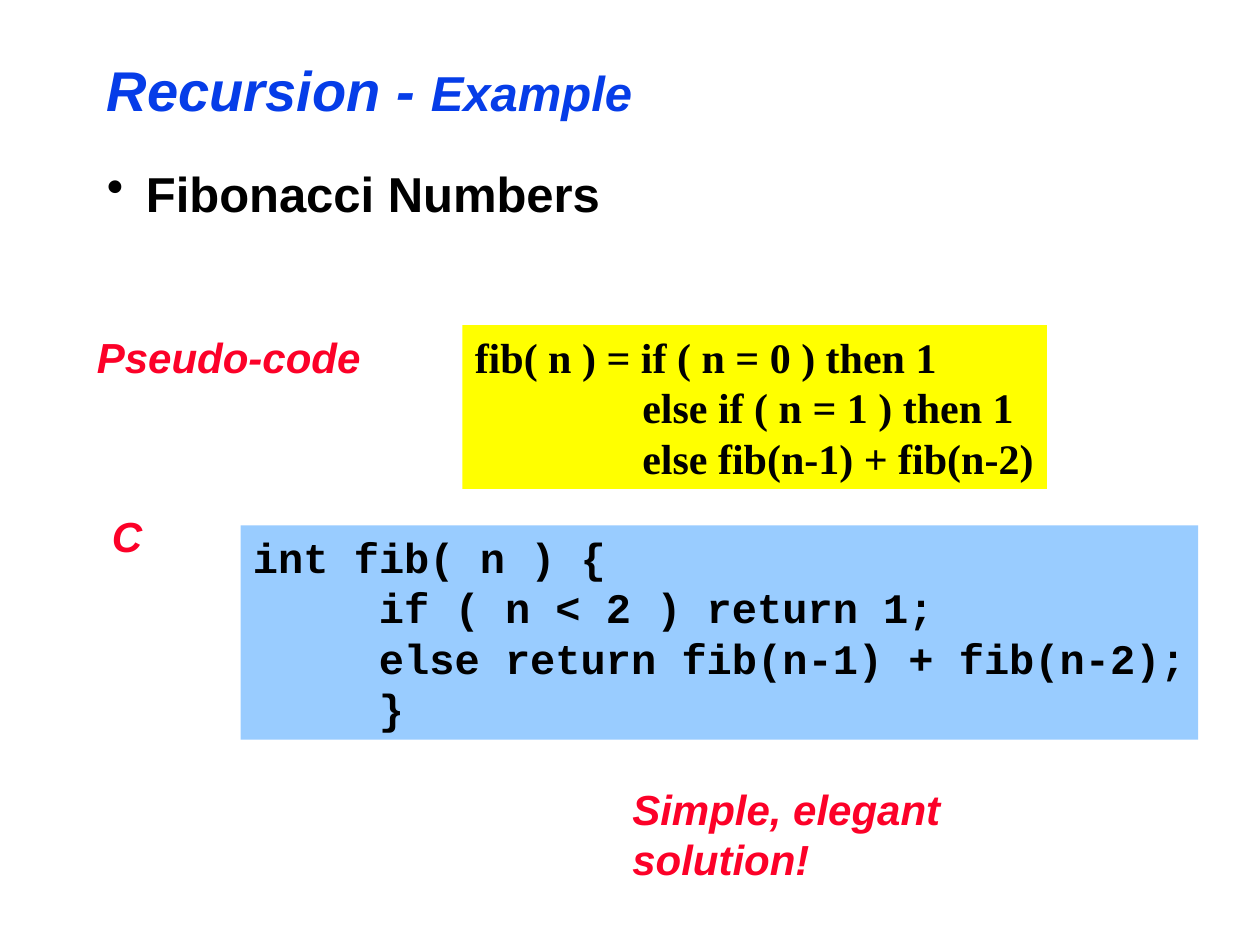
from dataclasses import dataclass
from typing import Optional

from lxml import etree
from pptx import Presentation
from pptx.dml.color import RGBColor
from pptx.enum import shapes, text
from pptx.oxml import ns
from pptx.util import Inches, Pt


@dataclass(frozen=True)
class Theme:
    """Colours, fonts and type sizes of the slide."""
    heading: str = "063DE8"
    accent: str = "FC0128"
    ink: str = "000000"
    pseudo_fill: str = "FFFF00"
    c_fill: str = "99CCFF"
    sans: str = "Arial"
    serif: str = "Times New Roman"
    mono: str = "Courier New"
    title_size: float = 32
    topic_size: float = 28
    code_size: float = 24
    code_leading: float = 28.8


@dataclass(frozen=True)
class Box:
    """Position and size in inches."""
    left: float
    top: float
    width: float
    height: float

    def emu(self) -> list:
        """Return the four lengths for a shape call."""
        return [Inches(v) for v in (self.left, self.top, self.width, self.height)]


@dataclass(frozen=True)
class Listing:
    """A filled block of code whose later lines are indented."""
    box: Box
    lines: tuple
    font: str
    fill: str
    indent: float


@dataclass(frozen=True)
class Label:
    """A short italic remark."""
    box: Box
    wording: str


THEME = Theme()
LISTINGS = (
    Listing(Box(3.67, 2.58, 4.64, 1.3),
            ("fib( n ) = if ( n = 0 ) then 1",
             "else if ( n = 1 ) then 1",
             "else fib(n-1) + fib(n-2)"),
            THEME.serif, THEME.pseudo_fill, 1.33),
    Listing(Box(1.91, 4.17, 7.6, 1.7),
            ("int fib( n ) {",
             "if ( n < 2 ) return 1;",
             "else return fib(n-1) + fib(n-2);",
             "}"),
            THEME.mono, THEME.c_fill, 1),
)
LABELS = (
    Label(Box(0.67, 2.58, 2.29, 0.5), "Pseudo-code"),
    Label(Box(0.79, 4, 0.44, 0.5), "C"),
    Label(Box(4.92, 6.17, 4.14, 0.5), "Simple, elegant solution!"),
)
FITTED = {"word_wrap": False, "auto_size": text.MSO_AUTO_SIZE.SHAPE_TO_FIT_TEXT,
          "vertical_anchor": text.MSO_ANCHOR.TOP}
CODE_LINE = {"alignment": text.PP_ALIGN.LEFT, "line_spacing": Pt(THEME.code_leading)}


def apply(target, values: dict) -> None:
    """Set every attribute named in values."""
    for name, value in values.items():
        setattr(target, name, value)


def add_run(paragraph, wording: str, size: float, color: str,
            font: str = THEME.sans, italic: Optional[bool] = None) -> None:
    """Add a bold run to a paragraph."""
    run = paragraph.add_run()
    run.text = wording
    apply(run.font, {"name": font, "size": Pt(size), "bold": True, "italic": italic})
    run.font.color.rgb = RGBColor.from_string(color)


def indent_paragraph(paragraph, margin: float, first: float = 0):
    """Set the left margin and first-line indent, and return the properties."""
    properties = paragraph._p.get_or_add_pPr()
    properties.set("marL", str(Inches(margin)))
    properties.set("indent", str(Inches(first)))
    return properties


def add_title(slide) -> None:
    """Draw the two-size slide title."""
    frame = slide.shapes.add_textbox(*Box(0.75, 0.33, 8.5, 0.75).emu()).text_frame
    apply(frame, {"word_wrap": True, "vertical_anchor": text.MSO_ANCHOR.MIDDLE})
    for wording, size in (("Recursion - ", THEME.title_size), ("Example", THEME.topic_size)):
        add_run(frame.paragraphs[0], wording, size, THEME.heading, italic=True)


def add_topic(slide) -> None:
    """Draw the bulleted topic."""
    frame = slide.shapes.add_textbox(*Box(0.75, 1.25, 8.58, 6).emu()).text_frame
    frame.word_wrap = True
    topic = frame.paragraphs[0]
    topic.space_before = Pt(7)
    properties = indent_paragraph(topic, 0.31, -0.31)
    etree.SubElement(properties, ns.qn("a:buChar"), char="•")
    add_run(topic, "Fibonacci Numbers", THEME.topic_size, THEME.ink)


def add_listing(slide, listing: Listing) -> None:
    """Draw a filled code block."""
    block = slide.shapes.add_shape(shapes.MSO_SHAPE.RECTANGLE, *listing.box.emu())
    block.shadow.inherit = False
    block.fill.solid()
    block.fill.fore_color.rgb = RGBColor.from_string(listing.fill)
    block.line.fill.background()
    frame = block.text_frame
    apply(frame, FITTED)
    for number, wording in enumerate(listing.lines):
        line = frame.add_paragraph() if number else frame.paragraphs[0]
        apply(line, CODE_LINE)
        if number:
            indent_paragraph(line, listing.indent)
        add_run(line, wording, THEME.code_size, THEME.ink, listing.font)


def add_label(slide, label: Label) -> None:
    """Draw an italic remark."""
    frame = slide.shapes.add_textbox(*label.box.emu()).text_frame
    apply(frame, FITTED)
    apply(frame.paragraphs[0], CODE_LINE)
    add_run(frame.paragraphs[0], label.wording, THEME.code_size, THEME.accent, italic=True)


def main() -> None:
    """Build and save the slide."""
    deck = Presentation()
    apply(deck, {"slide_width": Inches(10), "slide_height": Inches(7.5)})
    slide = deck.slides.add_slide(deck.slide_layouts[6])
    add_title(slide)
    add_topic(slide)
    for listing in LISTINGS:
        add_listing(slide, listing)
    for label in LABELS:
        add_label(slide, label)
    deck.save("out.pptx")


if __name__ == "__main__":
    main()
